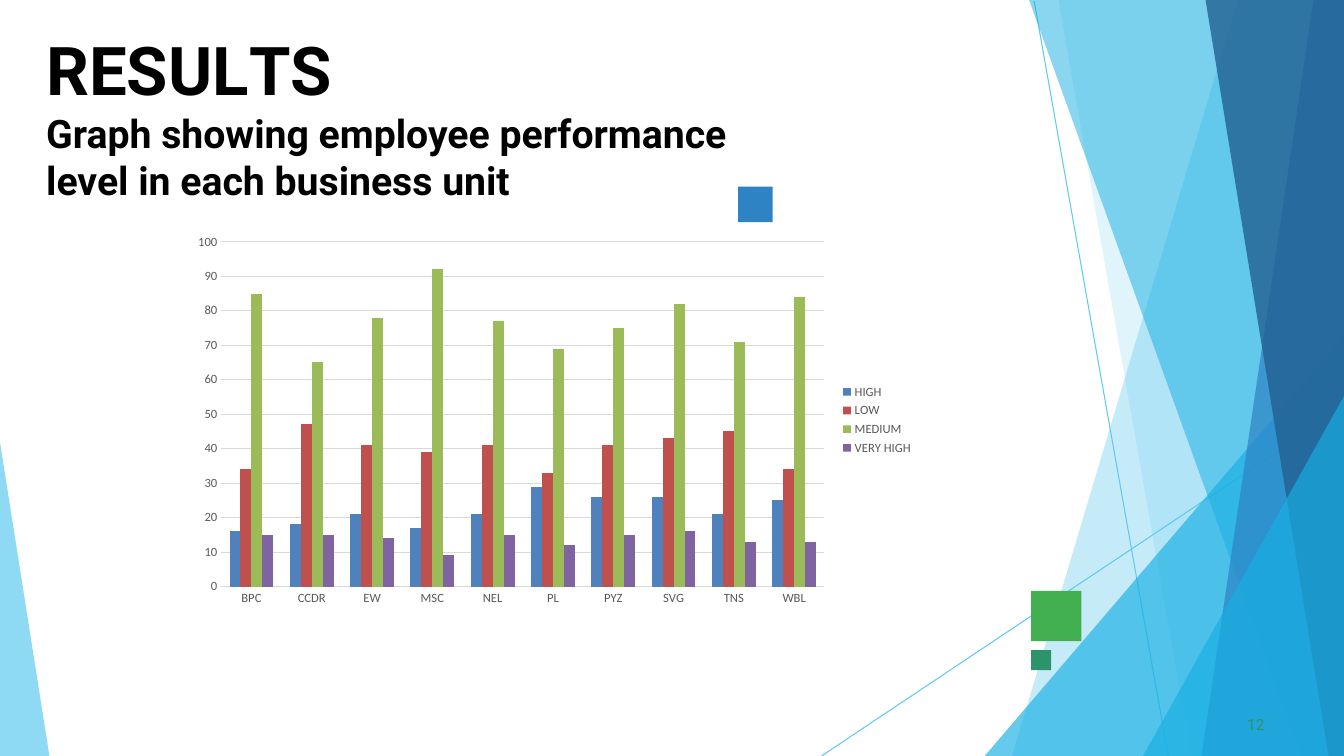
from lxml import etree
from pptx import Presentation
from pptx import util as u
from pptx.chart import data
from pptx.dml import color
from pptx.enum import chart as ch, shapes, text
from pptx.oxml import ns

HUES = {
    "sky": "5FCAEE", "cyan": "17AFE3", "blue": "2D83C3", "navy": "226192",
    "green": "42AF51", "teal": "2D936B", "black": "000000",
    "gray": "595959", "grid": "D9D9D9",
}
BARS = {
    "HIGH": ("4F81BD", [16, 18, 21, 17, 21, 29, 26, 26, 21, 25]),
    "LOW": ("C0504D", [34, 47, 41, 39, 41, 33, 41, 43, 45, 34]),
    "MEDIUM": ("9BBB59", [85, 65, 78, 92, 77, 69, 75, 82, 71, 84]),
    "VERY HIGH": ("8064A2", [15, 15, 14, 9, 15, 12, 15, 16, 13, 13]),
}
UNITS = ["BPC", "CCDR", "EW", "MSC", "NEL", "PL", "PYZ", "SVG", "TNS", "WBL"]
WIDE, HIGH = 960, 540


class Deck:
    """Holds the style and the current slide, and draws each kind of element."""

    def __init__(self):
        self.show = Presentation()
        self.show.slide_width, self.show.slide_height = u.Pt(WIDE), u.Pt(HIGH)
        self.slide = self.show.slides.add_slide(self.show.slide_layouts[6])
        self.face, self.plain = "Roboto", "Calibri"

    def tint(self, name):
        return color.RGBColor.from_string(HUES.get(name, name))

    def paint(self, shape, hue, alpha=100):
        shape.shadow.inherit = False
        shape.line.fill.background()
        shape.fill.solid()
        shape.fill.fore_color.rgb = self.tint(hue)
        if alpha < 100:
            node = shape.fill._xPr.find(".//" + ns.qn("a:srgbClr"))
            etree.SubElement(node, ns.qn("a:alpha"), val=str(alpha * 1000))

    def line(self, *ends):
        link = self.slide.shapes.add_connector(
            shapes.MSO_CONNECTOR.STRAIGHT, *map(u.Pt, ends))
        link.line.color.rgb = self.tint("sky")
        link.line.width = u.Pt(0.75)
        etree.SubElement(link._element.spPr, ns.qn("a:effectLst"))

    def poly(self, hue, alpha, *dots):
        dots = [(u.Pt(x), u.Pt(y)) for x, y in dots]
        form = self.slide.shapes.build_freeform(*dots[0])
        form.add_line_segments(dots[1:], close=True)
        self.paint(form.convert_to_shape(), hue, alpha)

    def box(self, hue, *area):
        shape = self.slide.shapes.add_shape(
            shapes.MSO_SHAPE.RECTANGLE, *map(u.Pt, area))
        self.paint(shape, hue)

    def words(self, area, lines, hue, bold=False, inset=0):
        frame = self.slide.shapes.add_textbox(*map(u.Pt, area)).text_frame
        frame.word_wrap = True
        frame.auto_size = text.MSO_AUTO_SIZE.NONE
        frame.margin_left, frame.margin_top = u.Pt(inset), u.Pt(1)
        frame.margin_right = frame.margin_bottom = 0
        para = frame.paragraphs[0]
        para.space_before = u.Pt(1)
        for row, (size, runs) in enumerate(lines):
            if row:
                para.add_line_break()
            for word, gap in runs:
                run = para.add_run()
                run.text = word
                self.font(run.font, size, hue, self.face, bold)
                run.font._element.set("spc", str(round(gap * 100)))

    def font(self, font, size, hue, face, bold=False):
        font.size, font.name, font.bold = u.Pt(size), face, bold
        font.color.rgb = self.tint(hue)

    def chart(self, area, cats, bars):
        info = data.CategoryChartData()
        info.categories = cats
        for name, (_, vals) in bars.items():
            info.add_series(name, vals)
        chart = self.slide.shapes.add_chart(
            ch.XL_CHART_TYPE.COLUMN_CLUSTERED, *map(u.Pt, area), info).chart
        self.font(chart.font, 10, "black", self.plain)
        chart.has_title = False
        chart.has_legend = True
        chart.legend.position = ch.XL_LEGEND_POSITION.RIGHT
        chart.legend.include_in_layout = False
        self.font(chart.legend.font, 9, "gray", self.plain)
        for axis in (chart.category_axis, chart.value_axis):
            axis.major_tick_mark = axis.minor_tick_mark = ch.XL_TICK_MARK.NONE
            axis.format.line.fill.background()
            self.font(axis.tick_labels.font, 9, "gray", self.plain)
        scale = chart.value_axis
        scale.minimum_scale, scale.maximum_scale, scale.major_unit = 0, 100, 10
        grid = scale.major_gridlines.format.line
        grid.color.rgb, grid.width = self.tint("grid"), u.Pt(0.75)
        plot = chart.plots[0]
        plot.gap_width, plot.overlap, plot.vary_by_categories = 150, 0, False
        for part, (hue, _) in zip(plot.series, bars.values()):
            part.format.fill.solid()
            part.format.fill.fore_color.rgb = self.tint(hue)
            part.invert_if_negative = False


def main():
    deck = Deck()
    deck.line(738.7, 0.7, 834.5, HIGH)
    deck.line(WIDE, 290.9, 586.8, HIGH)
    for hue, alpha, *left in [
        ("sky", 36, (884.2, 0), (722.9, HIGH)),
        ("sky", 20, (756, 0), (851, HIGH)),
        ("cyan", 66, (WIDE, 239.8), (703.4, HIGH)),
        ("cyan", 50, (735.1, 0), (929.5, HIGH)),
        ("blue", 70, (938.2, 0), (858.2, HIGH)),
        ("navy", 80, (861.1, 0), (949, HIGH)),
        ("cyan", 66, (WIDE, 283), (816.5, HIGH)),
    ]:
        deck.poly(hue, alpha, (WIDE, left[0][1]), *left, (WIDE, HIGH))
    deck.poly("sky", 70, (0, 316), (0, HIGH), (35.3, HIGH))
    deck.box("green", 736.5, 422, 36, 36)
    deck.box("blue", 527.2, 133.4, 24.8, 25.4)
    deck.box("teal", 736.5, 464.4, 14.4, 14.4)
    deck.words((32, 19.4, 550, 126.7), [
        (48, [("R", 0), ("E", -0.4), ("S", 0.1), ("U", -0.3), ("L", -4), ("TS", 0)]),
        (28, [("Graph showing employee performance level in each business unit", 0)]),
    ], "black", bold=True, inset=1)
    deck.words((887.8, 509.8, 18, 15), [(11, [("12", 0.1)])], "teal", inset=3)
    deck.chart((131, 162, 528.5, 275.8), UNITS, BARS)
    deck.show.save("out.pptx")


if __name__ == "__main__":
    main()
